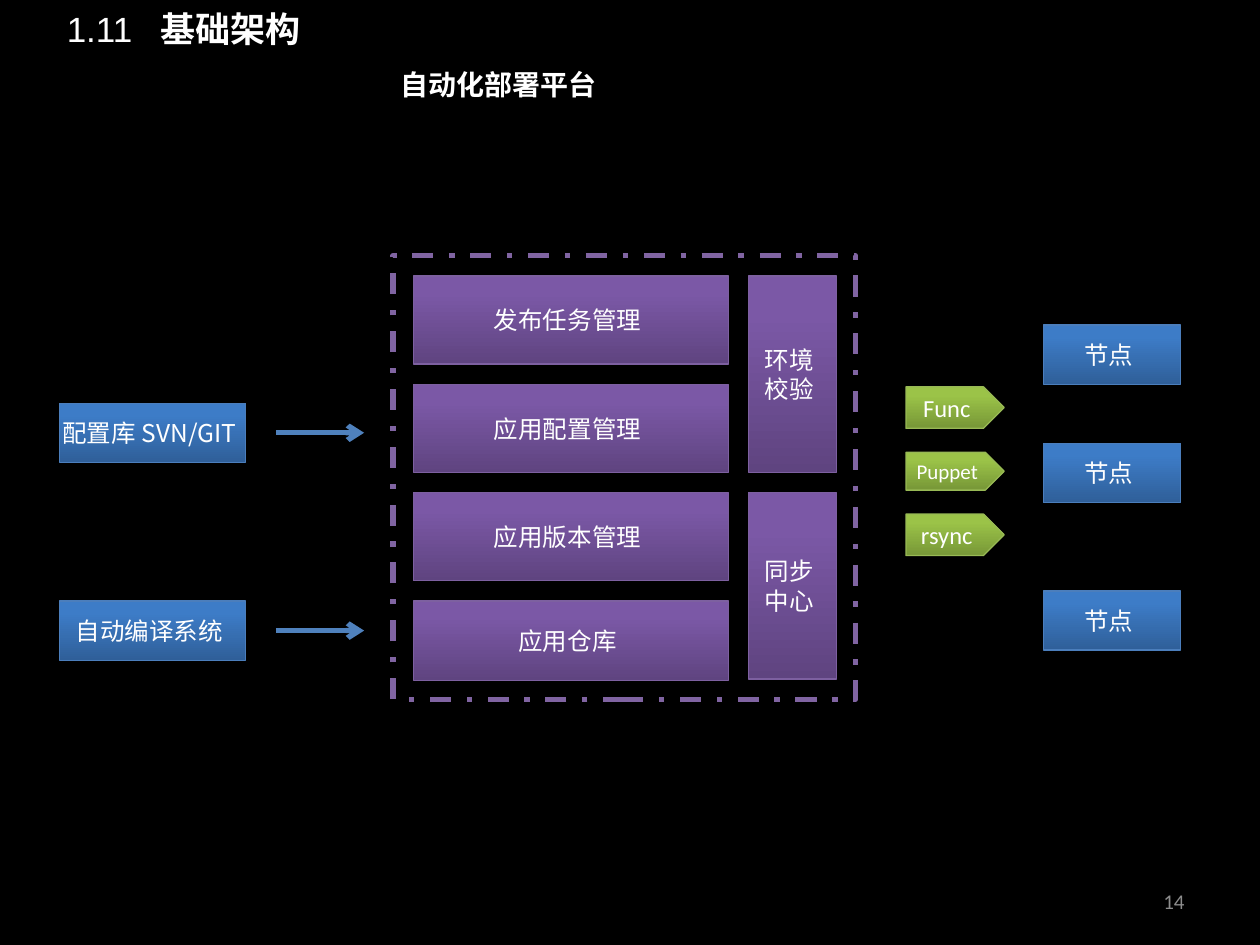
from lxml import etree
from pptx import Presentation
from pptx import util as u
from pptx.dml.color import RGBColor
from pptx.enum import dml, shapes, text
from pptx.oxml.ns import qn

CJK = "Noto Sans CJK SC"
PURPLE = ("5F4480", "7B58A6", "7D60A0")  # gradient bottom, gradient top, outline
BLUE = ("2F5F99", "3D7CC7", "4B7EBC")
GREEN = ("779737", "9BC348", "98B955")
ALIGN = text.PP_ALIGN
ANCHOR = text.MSO_ANCHOR


def rgb(value):
    return RGBColor.from_string(value)


def add_run(p, content, size=14, font=CJK, color="FFFFFF", bold=False):
    r = p.add_run()
    r.text = content
    r.font.size = u.Pt(size)
    r.font.name = font
    r.font.bold = bold
    r.font.color.rgb = rgb(color)
    etree.SubElement(r.font._element, qn("a:ea"), typeface=CJK)


def write(tf, content, align=ALIGN.CENTER, anchor=ANCHOR.MIDDLE,
          insets=(0, 0.05, 0.05, 0.05), spacing=None, **run_format):
    """Fill a text frame with one paragraph per line of content."""
    tf.word_wrap = True
    tf.auto_size = text.MSO_AUTO_SIZE.NONE
    tf.vertical_anchor = anchor
    tf.margin_left, tf.margin_top, tf.margin_right, tf.margin_bottom = map(u.Inches, insets)
    for i, line in enumerate(content.split("\n")):
        p = tf.add_paragraph() if i else tf.paragraphs[0]
        p.alignment = align
        if spacing:
            p.line_spacing = u.Pt(spacing)
        add_run(p, line, **run_format)


class SlideBuilder:
    def __init__(self, prs):
        self.slide = prs.slides.add_slide(prs.slide_layouts[5])
        fill = self.slide.background.fill
        fill.solid()
        fill.fore_color.rgb = rgb("000000")

    def title(self, number, heading, box, tab):
        sp = self.slide.shapes.title
        sp.left, sp.top, sp.width, sp.height = map(u.Inches, box)
        write(sp.text_frame, number + "\t", align=ALIGN.LEFT, anchor=ANCHOR.TOP,
              insets=(0, 0, 0, 0), spacing=21, size=20, font="Arial")
        p = sp.text_frame.paragraphs[0]
        tabs = etree.SubElement(p._p.get_or_add_pPr(), qn("a:tabLst"))
        etree.SubElement(tabs, qn("a:tab"), pos=str(u.Inches(tab)), algn="l")
        add_run(p, heading, size=20, font="Arial", bold=True)

    def label(self, content, box, **text_format):
        sp = self.slide.shapes.add_textbox(*map(u.Inches, box))
        write(sp.text_frame, content, **text_format)

    def block(self, content, box, palette, kind=shapes.MSO_SHAPE.RECTANGLE, **text_format):
        bottom, top, outline = palette
        sp = self.slide.shapes.add_shape(kind, *map(u.Inches, box))
        sp.shadow.inherit = False
        sp.fill.gradient()
        sp.fill.gradient_angle = 90
        for stop, color, position in zip(sp.fill.gradient_stops, (bottom, top), (0, 0.8)):
            stop.color.rgb = rgb(color)
            stop.position = position
        sp.line.color.rgb = rgb(outline)
        sp.line.width = u.Pt(0.75)
        write(sp.text_frame, content, **text_format)

    def frame(self, box, color):
        sp = self.slide.shapes.add_shape(shapes.MSO_SHAPE.RECTANGLE, *map(u.Inches, box))
        sp.shadow.inherit = False
        sp.fill.background()
        sp.line.color.rgb = rgb(color)
        sp.line.width = u.Pt(3)
        sp.line.dash_style = dml.MSO_LINE.DASH_DOT

    def arrow(self, x1, x2, y, color):
        line = self.slide.shapes.add_connector(
            shapes.MSO_CONNECTOR.STRAIGHT, *map(u.Inches, (x1, y, x2, y)))
        line.line.color.rgb = rgb(color)
        line.line.width = u.Pt(3)
        etree.SubElement(line.line._get_or_add_ln(), qn("a:tailEnd"), type="arrow")
        etree.SubElement(line._element.spPr, qn("a:effectLst"))


def main():
    prs = Presentation()
    prs.slide_width, prs.slide_height = u.Inches(10), u.Inches(7.5)
    s = SlideBuilder(prs)
    s.title("1.11", "基础架构", (0.53, 0.1, 5.13, 0.29), tab=0.74)
    s.label("自动化部署平台", (3.18, 0.36, 2.48, 0.45), align=ALIGN.LEFT,
            anchor=ANCHOR.TOP, insets=(0, 0, 0, 0), spacing=32, size=16, bold=True)

    # Deployment platform
    s.frame((3.12, 2.03, 3.67, 3.52), "8064A2")
    top, pitch = 2.19, 0.86
    modules = [("发布任务管理", 0.7), ("应用配置管理", 0.7),
               ("应用版本管理", 0.7), ("应用仓库", 0.63)]
    for i, (name, height) in enumerate(modules):
        s.block(name, (3.28, top + i * pitch, 2.5, height), PURPLE)
    for i, (name, height) in enumerate([("环境\n校验", 1.56), ("同步\n中心", 1.48)]):
        s.block(name, (5.94, top + 2 * i * pitch, 0.7, height), PURPLE)

    # Sources feeding the platform
    for name, y in [("配置库 SVN/GIT", 3.2), ("自动编译系统", 4.77)]:
        s.block(name, (0.47, y, 1.48, 0.47), BLUE)
        s.arrow(2.19, 2.89, y + 0.235, "4F81BD")

    # Delivery tools and target nodes
    for name, y, height, size in [("Func", 3.07, 0.33, 14), ("Puppet", 3.59, 0.3, 12),
                                  ("rsync", 4.08, 0.33, 14)]:
        s.block(name, (7.19, y, 0.78, height), GREEN, kind=shapes.MSO_SHAPE.PENTAGON,
                size=size, font="Calibri")
    for y in (2.58, 3.52, 4.69):
        s.block("节点", (8.28, y, 1.09, 0.47), BLUE)

    s.label("14", (7.17, 6.95, 2.33, 0.4), align=ALIGN.RIGHT,
            insets=(0.1, 0.05, 0.1, 0.05), size=12, font="Calibri", color="8C8C8C")
    prs.save("out.pptx")


if __name__ == "__main__":
    main()
